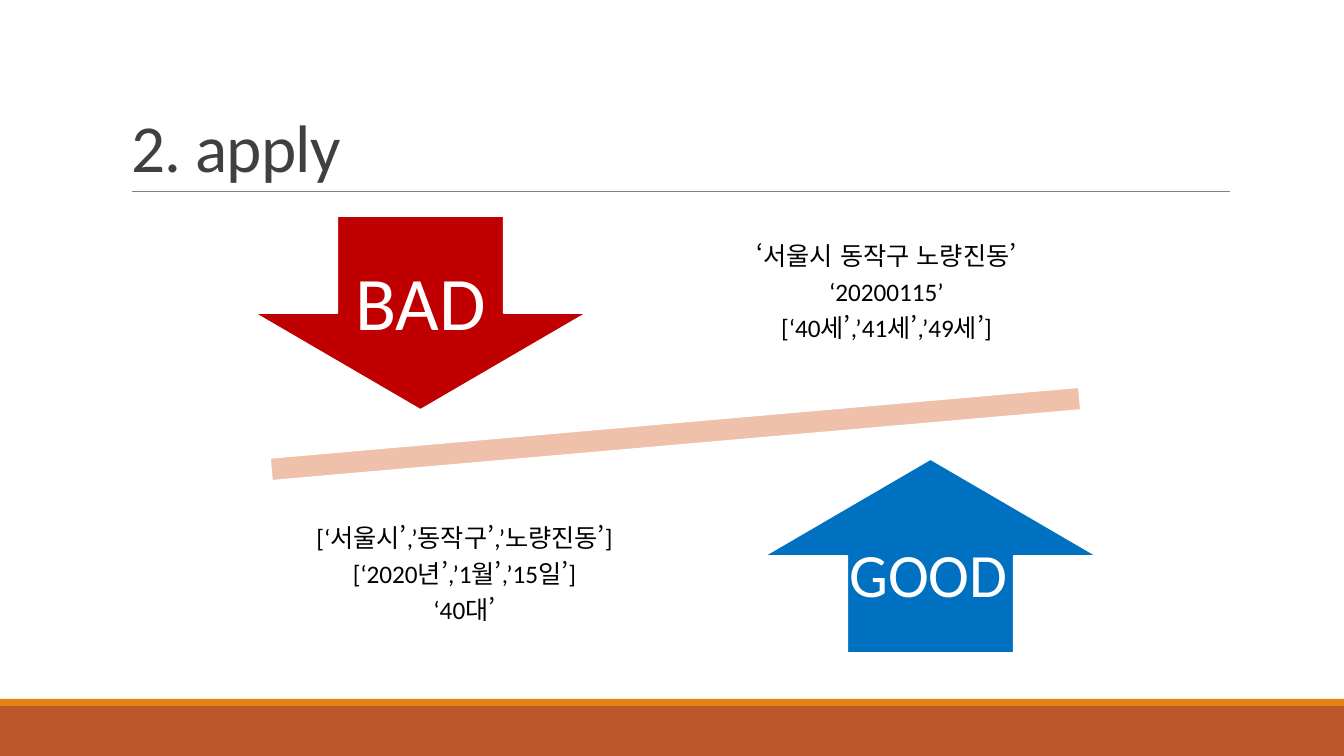
import pptx
import pptx.util
import pptx.dml.color
import pptx.enum.lang
import pptx.enum.shapes
import pptx.enum.text
import lxml.etree

WIDE, HIGH = 1344, 756
SHAPE = pptx.enum.shapes.MSO_SHAPE
ALIGN = pptx.enum.text.PP_ALIGN
ANCHOR = pptx.enum.text.MSO_ANCHOR
FIT = pptx.enum.text.MSO_AUTO_SIZE
KOREAN = pptx.enum.lang.MSO_LANGUAGE_ID.KOREAN


def px(*sizes):
    """Turn pixel lengths into EMU."""
    return [round(size * 12192000 / WIDE) for size in sizes]


def tint(hue):
    return pptx.dml.color.RGBColor.from_string(hue)


def style(para, size, hue, align=ALIGN.CENTER):
    para.alignment = align
    para.font.name = "Calibri"
    para.font.size = pptx.util.Pt(size)
    para.font.color.rgb = tint(hue)


def block(slide, kind, box, fill, edge=None):
    shape = slide.shapes.add_shape(kind, *px(*box))
    shape.shadow.inherit = False
    shape.fill.solid()
    shape.fill.fore_color.rgb = tint(fill)
    if edge:
        shape.line.color.rgb = tint(edge)
        shape.line.width = pptx.util.Pt(1.25)
    else:
        shape.line.fill.background()
    return shape


def footer(slide, box):
    """Draw a thin strip above a band that fills the rest of the box."""
    left, top, width, height = box
    strip = 7
    block(slide, SHAPE.RECTANGLE, (left, top + strip, width, height - strip), "BD582C")
    block(slide, SHAPE.RECTANGLE, (left, top, width, strip), "E48312")


def header(slide, box, text):
    """Set the title at the foot of the box, with a rule under it."""
    left, top, width, height = box
    title = slide.shapes.title
    title.left, title.top, title.width, title.height = px(*box)
    frame = title.text_frame
    frame.text = text
    frame.auto_size = FIT.NONE
    frame.vertical_anchor = ANCHOR.BOTTOM
    para = frame.paragraphs[0]
    style(para, 48, "404040", ALIGN.LEFT)
    para.line_spacing = 0.85
    para.runs[0].font._element.set("spc", "-50")

    foot = top + height
    rule = slide.shapes.add_connector(
        pptx.enum.shapes.MSO_CONNECTOR.STRAIGHT,
        *px(left + 11, foot, left + width, foot))
    rule.line.color.rgb = tint("808080")
    rule.line.width = pptx.util.Pt(0.5)
    lxml.etree.SubElement(
        rule._element.spPr, pptx.oxml.ns.qn("a:effectLst"))


def sample(slide, box, lines):
    """Write centred data lines in the middle of the box."""
    frame = slide.shapes.add_textbox(*px(*box)).text_frame
    frame.word_wrap = True
    frame.vertical_anchor = ANCHOR.MIDDLE
    inset, = px(14)
    frame.margin_left = frame.margin_right = inset
    frame.margin_top = frame.margin_bottom = inset
    frame.text = "\n".join(lines)
    for para in frame.paragraphs:
        style(para, 18, "000000")
        para.line_spacing = 0.9
        para.space_after = pptx.util.Pt(6.3)
        for run in para.runs:
            run.font.language_id = KOREAN


def label(slide, box, text, size, wrap):
    frame = slide.shapes.add_textbox(*px(*box)).text_frame
    frame.word_wrap = wrap
    frame.auto_size = FIT.SHAPE_TO_FIT_TEXT
    frame.text = text
    style(frame.paragraphs[0], size, "FFFFFF")


def balance(slide, box):
    """Weigh bad input against good input across a tilted beam."""
    left, top, width, height = box

    def place(x, y, wide, high):
        return left + x, top + y, wide, high

    beam = block(slide, SHAPE.MATH_MINUS, place(0, 193, width, 98), "EFC1AB", "FFFFFF")
    beam.rotation = 355
    arrow, note = (333, 194), (355, 204)
    block(slide, SHAPE.DOWN_ARROW, place(131, 24, *arrow), "C00000", "FFFFFF")
    sample(slide, place(586, -1, *note),
           ["‘서울시 동작구 노량진동’", "‘20200115’", "[‘40세’,’41세’,’49세’]"])
    block(slide, SHAPE.UP_ARROW, place(641, height - 218, *arrow), "0070C0", "FFFFFF")
    sample(slide, place(164, height - 204, *note),
           ["[‘서울시’,’동작구’,’노량진동’]", "[‘2020년’,’1월’,’15일’]", "‘40대’"])
    label(slide, place(222, 58, 152, 102), "BAD", 54, False)
    label(slide, place(697, 339, 217, 85), "GOOD", 44, True)


def main():
    deck = pptx.Presentation()
    deck.slide_width, deck.slide_height = px(WIDE, HIGH)
    slide = deck.slides.add_slide(deck.slide_layouts.get_by_name("Title Only"))
    footer(slide, (0, 699, WIDE, HIGH - 699))
    header(slide, (121, 31, 1109, 160), "2. apply")
    balance(slide, (123, 192, 1105, 485))
    deck.save("out.pptx")


if __name__ == "__main__":
    main()
